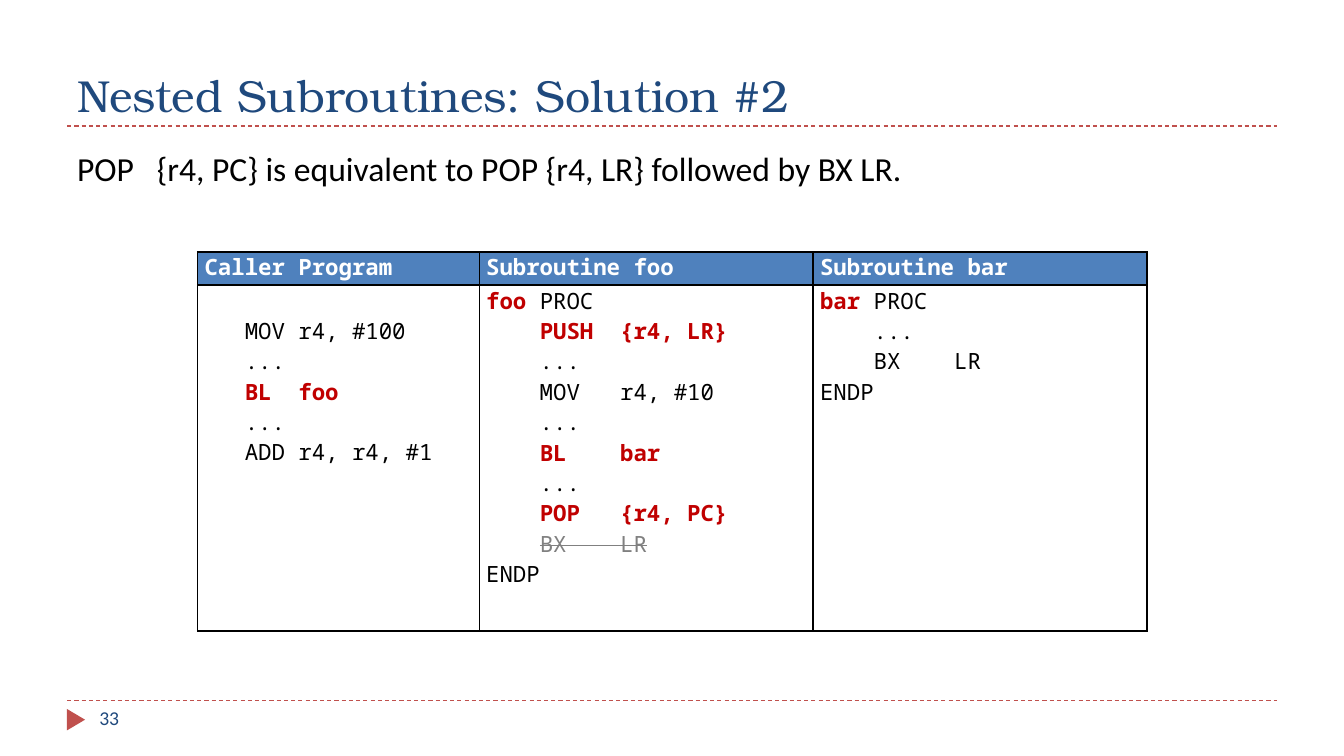
from dataclasses import dataclass

from lxml import etree
from pptx import Presentation
from pptx.dml.color import RGBColor
from pptx.enum.dml import MSO_LINE
from pptx.enum.shapes import MSO_CONNECTOR, MSO_SHAPE
from pptx.enum.text import MSO_ANCHOR
from pptx.oxml.ns import qn
from pptx.util import Inches, Pt

DASH = MSO_LINE.DASH
STRAIGHT = MSO_CONNECTOR.STRAIGHT
TRIANGLE = MSO_SHAPE.ISOSCELES_TRIANGLE
TOP, BOTTOM = MSO_ANCHOR.TOP, MSO_ANCHOR.BOTTOM

WIDTH, HEIGHT = Inches(13.33), Inches(7.5)
COLUMNS, ROWS = 20, 30
CODE_LINE = Inches(0.3)


@dataclass(frozen=True)
class Theme:
    navy: str = "1F497D"
    red: str = "C0504D"
    blue: str = "4F81BD"
    black: str = "000000"
    white: str = "FFFFFF"
    call: str = "C00000"
    grey: str = "808080"
    serif: str = "TeX Gyre Bonum"
    sans: str = "Calibri"
    mono: str = "Noto Sans Mono"
    title_size: int = 32
    body_size: int = 24
    code_size: int = 16
    number_size: int = 14
    rule_width: float = 0.75
    border_width: float = 1
    header_rule_width: float = 1.5


THEME = Theme()
CODE = {"name": THEME.mono, "size": Pt(THEME.code_size)}
STYLES = {
    "title": {"name": THEME.serif, "size": Pt(THEME.title_size), "color": THEME.navy},
    "body": {"name": THEME.sans, "size": Pt(THEME.body_size), "color": THEME.black},
    "number": {"name": THEME.sans, "size": Pt(THEME.number_size), "color": THEME.navy},
    "header": {**CODE, "bold": True, "color": THEME.white},
    "plain": {**CODE, "bold": False, "color": THEME.black},
    "call": {**CODE, "bold": True, "color": THEME.call},
    "removed": {**CODE, "bold": False, "color": THEME.grey, "strike": True},
}

# A code line is a string, or a list of (text, style) spans.
CALLER = [
    "   MOV r4, #100",
    "   ...",
    [("   ", "plain"), ("BL  foo", "call")],
    "   ...",
    "   ADD r4, r4, #1",
]
FOO = [
    [("foo ", "call"), ("PROC", "plain")],
    [("    ", "plain"), ("PUSH  {r4, LR}", "call")],
    "    ...",
    "    MOV   r4, #10",
    "    ...",
    [("    ", "plain"), ("BL    bar", "call")],
    "    ...",
    [("    ", "plain"), ("POP   {r4, PC}", "call")],
    [("    ", "plain"), ("BX    LR", "removed")],
    "ENDP",
]
BAR = [
    [("bar", "call"), (" PROC", "plain")],
    "    ...",
    "    BX    LR",
    "ENDP",
]
# Heading, code and the number of lines the code starts below the top.
LISTINGS = [
    ("Caller Program", CALLER, 1),
    ("Subroutine foo", FOO, 0),
    ("Subroutine bar", BAR, 0),
]


def across(columns):
    return round(WIDTH * columns / COLUMNS)


def down(rows):
    return round(HEIGHT * rows / ROWS)


class SlideBuilder:
    def __init__(self, slide, theme):
        self.shapes = slide.shapes
        self.theme = theme

    def add_lines(self, frame, lines, style):
        for index, line in enumerate(lines):
            para = frame.add_paragraph() if index else frame.paragraphs[0]
            spans = [(line, style)] if isinstance(line, str) else line
            for text, span_style in spans:
                span = para.add_run()
                span.text = text
                for key, value in STYLES[span_style].items():
                    if key == "color":
                        span.font.color.rgb = RGBColor.from_string(value)
                    elif key == "strike":
                        span.font._element.set("strike", "sngStrike")
                    else:
                        setattr(span.font, key, value)

    def text(self, left, top, width, height, line, style, anchor=TOP):
        box = self.shapes.add_textbox(across(left), down(top), across(width), down(height))
        box.text_frame.word_wrap = True
        box.text_frame.vertical_anchor = anchor
        self.add_lines(box.text_frame, [line], style)

    def rule(self, left, right, row):
        rule = self.shapes.add_connector(
            STRAIGHT, across(left), down(row), across(right), down(row))
        rule.line.color.rgb = RGBColor.from_string(self.theme.red)
        rule.line.width = Pt(self.theme.rule_width)
        rule.line.dash_style = DASH
        etree.SubElement(rule._element.spPr, qn("a:effectLst"))

    def page_marker(self, left, top, width, height):
        marker = self.shapes.add_shape(
            TRIANGLE, across(left), down(top), across(width), down(height))
        marker.rotation = 90
        marker.shadow.inherit = False
        marker.fill.solid()
        marker.fill.fore_color.rgb = RGBColor.from_string(self.theme.red)
        marker.line.fill.background()

    def borders(self, cell, widths):
        """Draw cell edges; widths maps L, R, T and B to points."""
        properties = cell._tc.get_or_add_tcPr()
        for side, width in widths.items():
            edge = etree.SubElement(properties, qn(f"a:ln{side}"), w=str(int(Pt(width))))
            fill = etree.SubElement(edge, qn("a:solidFill"))
            etree.SubElement(fill, qn("a:srgbClr"), val=self.theme.black)

    def cell(self, cell, lines, style, widths, fill=None, skipped=0):
        margins = {"margin_left": Inches(0.07), "margin_right": Inches(0.07),
                   "margin_top": CODE_LINE * skipped, "margin_bottom": 0}
        for key, value in margins.items():
            setattr(cell, key, value)
        self.borders(cell, widths)
        if fill:
            cell.fill.solid()
            cell.fill.fore_color.rgb = RGBColor.from_string(fill)
        else:
            cell.fill.background()
        self.add_lines(cell.text_frame, lines, style)

    def code_table(self, left, top, widths, heights, listings):
        frame = self.shapes.add_table(
            len(heights), len(widths), across(left), down(top),
            across(sum(widths)), down(sum(heights)))
        table = frame.table
        table.horz_banding = False
        for row, height in zip(table.rows, heights):
            row.height = down(height)
        thin, thick = self.theme.border_width, self.theme.header_rule_width
        edges = dict.fromkeys("LRTB", thin)
        for index, (heading, code, skipped) in enumerate(listings):
            table.columns[index].width = across(widths[index])
            self.cell(table.cell(0, index), [heading], "header",
                      {**edges, "B": thick}, self.theme.blue)
            self.cell(table.cell(1, index), code, "plain",
                      {**edges, "T": thick}, skipped=skipped)


def main():
    deck = Presentation()
    deck.slide_width, deck.slide_height = WIDTH, HEIGHT
    page = SlideBuilder(deck.slides.add_slide(deck.slide_layouts[6]), THEME)

    for row in (27.8, 5):
        page.rule(1, 19, row)
    page.page_marker(0.97, 28.2, 0.32, 0.72)
    page.text(1, 0.68, 18, 4.32, "Nested Subroutines: Solution #2", "title", BOTTOM)
    page.text(1.33, 27.8, 4.33, 1.6, "33", "number")
    page.code_table(2.94, 10, [4.19, 4.97, 4.97], [1.32, 13.72], LISTINGS)
    page.text(1, 5.68, 18, 2,
              "POP   {r4, PC} is equivalent to POP {r4, LR} followed by BX LR.", "body")
    deck.save("out.pptx")


if __name__ == "__main__":
    main()
